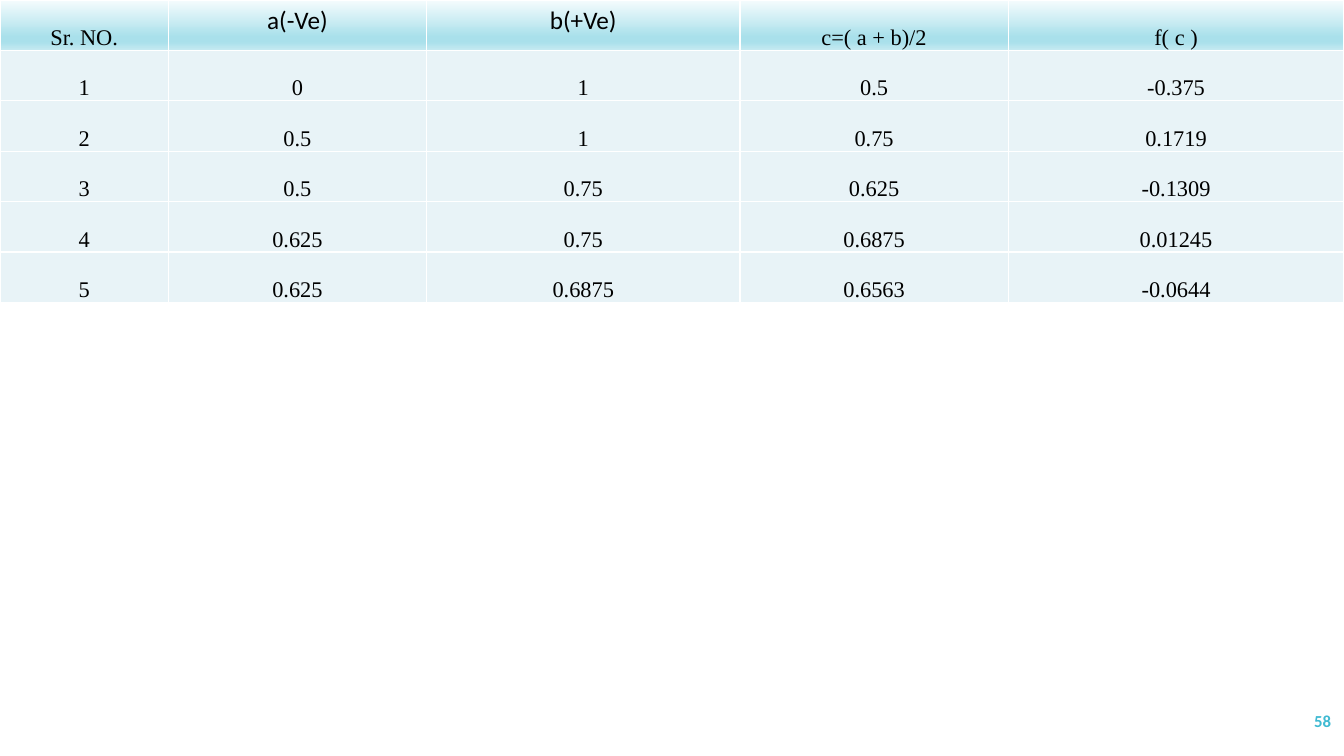
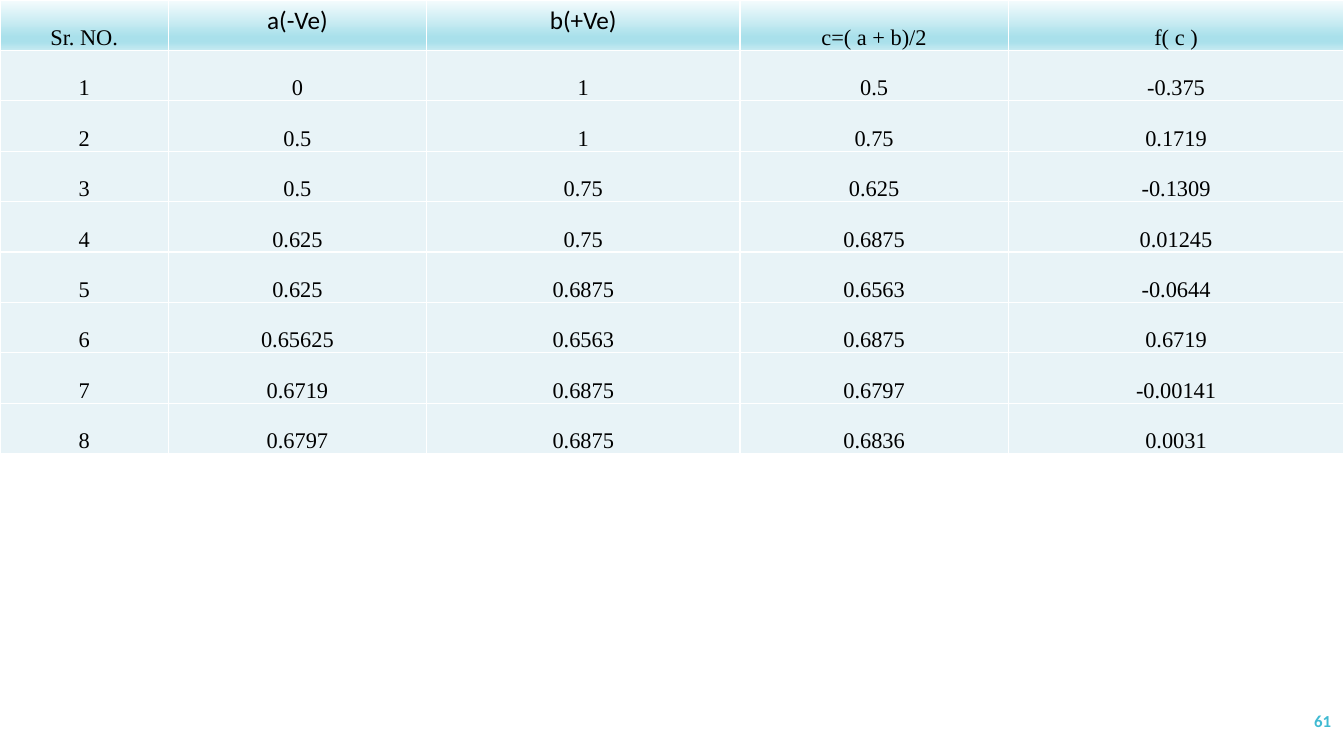
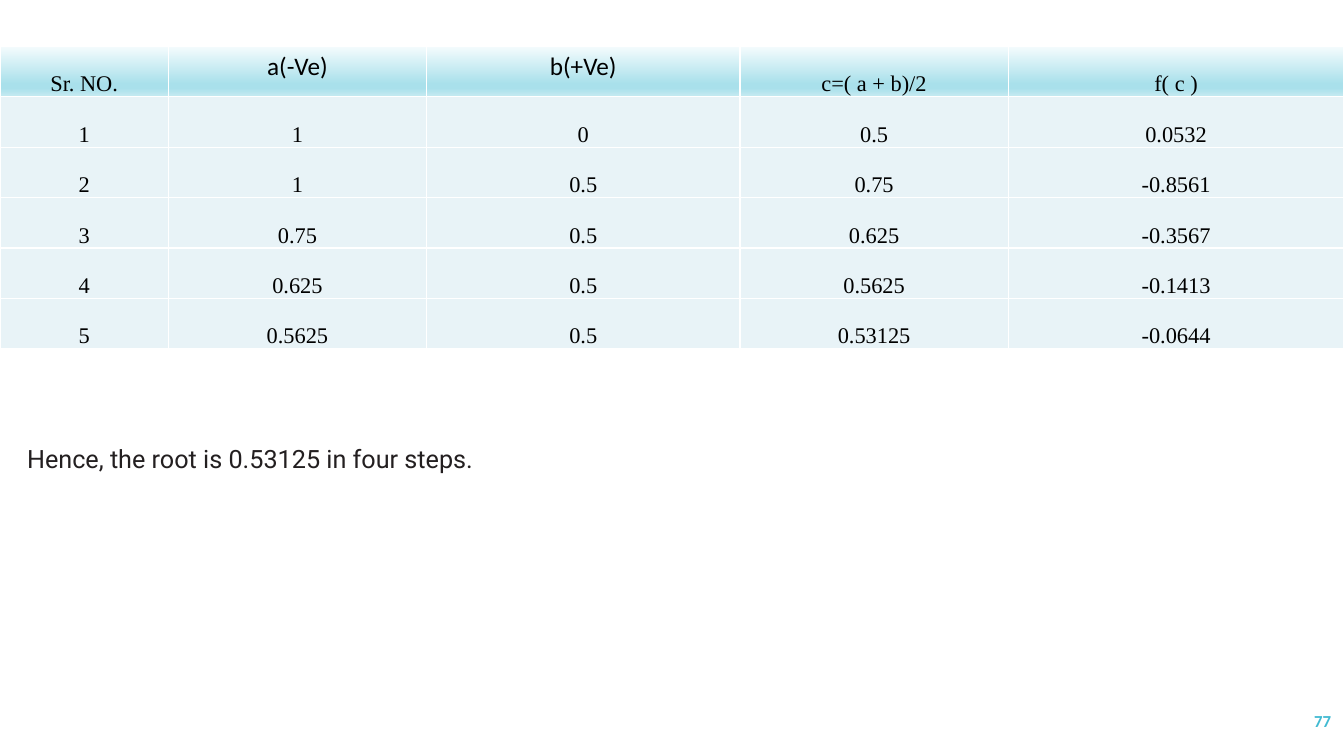
"""Build three slides of bisection-method iteration tables."""
import dataclasses

import lxml.etree
import pptx
import pptx.dml.color
import pptx.enum.text
import pptx.oxml.ns
import pptx.util

Inches = pptx.util.Inches
Align = pptx.enum.text.PP_ALIGN
Anchor = pptx.enum.text.MSO_ANCHOR
qn = pptx.oxml.ns.qn


@dataclasses.dataclass(frozen=True)
class TextStyle:
    """Font settings of one kind of text."""
    font: str
    size: int
    color: str
    bold: bool = False


@dataclasses.dataclass(frozen=True)
class Theme:
    """Colours, type styles and table measures shared by all slides."""
    figure: TextStyle = TextStyle("Times New Roman", 16, "000000")
    interval: TextStyle = TextStyle("Calibri", 18, "000000")
    conclusion: TextStyle = TextStyle("Roboto", 18, "231F20")
    page_number: TextStyle = TextStyle("Calibri", 12, "40BAD2", True)
    body_fill: str = "E8F3F7"
    header_stops: tuple = ((0, "F5FCFD"), (74, "A9E0EB"), (83, "A9E0EB"), (100, "C6EAF1"))
    border: str = "FFFFFF"
    border_width: int = 1
    columns: tuple = (1.67, 2.56, 3.11, 2.66, 3.33)
    row_height: float = 0.5
    cell_inset: float = 0.01


THEME = Theme()
HEADINGS = ("Sr. NO.", "a(-Ve)", "b(+Ve)", "c=( a + b)/2", "f( c )")
INTERVAL_HEADINGS = HEADINGS[1:3]

FIRST_FIVE_STEPS = [
    ("0", "1", "0.5", "-0.375"),
    ("0.5", "1", "0.75", "0.1719"),
    ("0.5", "0.75", "0.625", "-0.1309"),
    ("0.625", "0.75", "0.6875", "0.01245"),
    ("0.625", "0.6875", "0.6563", "-0.0644"),
]
LAST_THREE_STEPS = [
    ("0.65625", "0.6563", "0.6875", "0.6719"),
    ("0.6719", "0.6875", "0.6797", "-0.00141"),
    ("0.6797", "0.6875", "0.6836", "0.0031"),
]
DESCENDING_STEPS = [
    ("1", "0", "0.5", "0.0532"),
    ("1", "0.5", "0.75", "-0.8561"),
    ("0.75", "0.5", "0.625", "-0.3567"),
    ("0.625", "0.5", "0.5625", "-0.1413"),
    ("0.5625", "0.5", "0.53125", "-0.0644"),
]


def rgb(color):
    """Return a colour object for a hex string."""
    return pptx.dml.color.RGBColor.from_string(color)


def write_text(frame, text, style, align):
    """Write one styled paragraph into a text frame."""
    para = frame.paragraphs[0]
    para.text = text
    para.alignment = align
    para.font.name = style.font
    para.font.size = pptx.util.Pt(style.size)
    para.font.bold = style.bold
    para.font.color.rgb = rgb(style.color)


def add_solid(parent, color):
    """Append a solid fill element."""
    solid = lxml.etree.SubElement(parent, qn("a:solidFill"))
    lxml.etree.SubElement(solid, qn("a:srgbClr"), val=color)


def add_borders(cell):
    """Draw the four borders of a table cell."""
    properties = cell._tc.get_or_add_tcPr()
    width = str(pptx.util.Pt(THEME.border_width))
    for side in ("a:lnL", "a:lnR", "a:lnT", "a:lnB"):
        add_solid(lxml.etree.SubElement(properties, qn(side), w=width), THEME.border)


def add_header_gradient(cell):
    """Fill a header cell with the vertical gradient."""
    gradient = lxml.etree.SubElement(cell._tc.get_or_add_tcPr(), qn("a:gradFill"))
    stops = lxml.etree.SubElement(gradient, qn("a:gsLst"))
    for percent, color in THEME.header_stops:
        stop = lxml.etree.SubElement(stops, qn("a:gs"), pos=str(percent * 1000))
        lxml.etree.SubElement(stop, qn("a:srgbClr"), val=color)
    lxml.etree.SubElement(gradient, qn("a:lin"), ang=str(90 * 60000), scaled="0")


def fill_cell(cell, text, is_header):
    """Set the text, borders and fill of one cell."""
    is_interval = text in INTERVAL_HEADINGS
    write_text(cell.text_frame, text, THEME.interval if is_interval else THEME.figure, Align.CENTER)
    if not is_interval:
        cell.vertical_anchor = Anchor.BOTTOM
        cell.margin_left = cell.margin_right = cell.margin_top = Inches(THEME.cell_inset)
        cell.margin_bottom = 0
    add_borders(cell)
    if is_header:
        add_header_gradient(cell)
    else:
        cell.fill.solid()
        cell.fill.fore_color.rgb = rgb(THEME.body_fill)


def add_steps_table(page, steps, top=0):
    """Add a full-width table with numbered iteration steps."""
    rows = [HEADINGS] + [(str(number), *step) for number, step in enumerate(steps, 1)]
    table = page.shapes.add_table(
        len(rows), len(HEADINGS), 0, Inches(top),
        Inches(sum(THEME.columns)), Inches(THEME.row_height * len(rows))).table
    table.first_row = table.horz_banding = False
    for column, width in zip(table.columns, THEME.columns):
        column.width = Inches(width)
    for row_index, row in enumerate(rows):
        table.rows[row_index].height = Inches(THEME.row_height)
        for column_index, text in enumerate(row):
            fill_cell(table.cell(row_index, column_index), text, row_index == 0)


def add_text(page, text, style, left, top, width, height, align=Align.LEFT, anchor=Anchor.TOP):
    """Add a wrapped text box."""
    box = page.shapes.add_textbox(Inches(left), Inches(top), Inches(width), Inches(height))
    frame = box.text_frame
    frame.word_wrap = True
    frame.vertical_anchor = anchor
    write_text(frame, text, style, align)
    return box


def add_page(deck, number, steps, top=0):
    """Add a slide with a steps table and a page number."""
    page = deck.slides.add_slide(deck.slide_layouts[6])
    add_steps_table(page, steps, top)
    add_text(page, number, THEME.page_number, 11.63, 6.95, 1.67, 0.4, Align.RIGHT, Anchor.MIDDLE)
    return page


def main():
    """Build and save the deck."""
    deck = pptx.Presentation()
    deck.slide_width, deck.slide_height = Inches(13.33), Inches(7.5)
    add_page(deck, "58", FIRST_FIVE_STEPS)
    add_page(deck, "61", FIRST_FIVE_STEPS + LAST_THREE_STEPS)
    page = add_page(deck, "77", DESCENDING_STEPS, top=0.46)
    conclusion = add_text(page, "Hence, the root is 0.53125 in four steps.",
                          THEME.conclusion, 0.17, 4.35, 6.68, 0.4)
    conclusion.text_frame.auto_size = pptx.enum.text.MSO_AUTO_SIZE.SHAPE_TO_FIT_TEXT
    deck.save("out.pptx")


if __name__ == "__main__":
    main()
